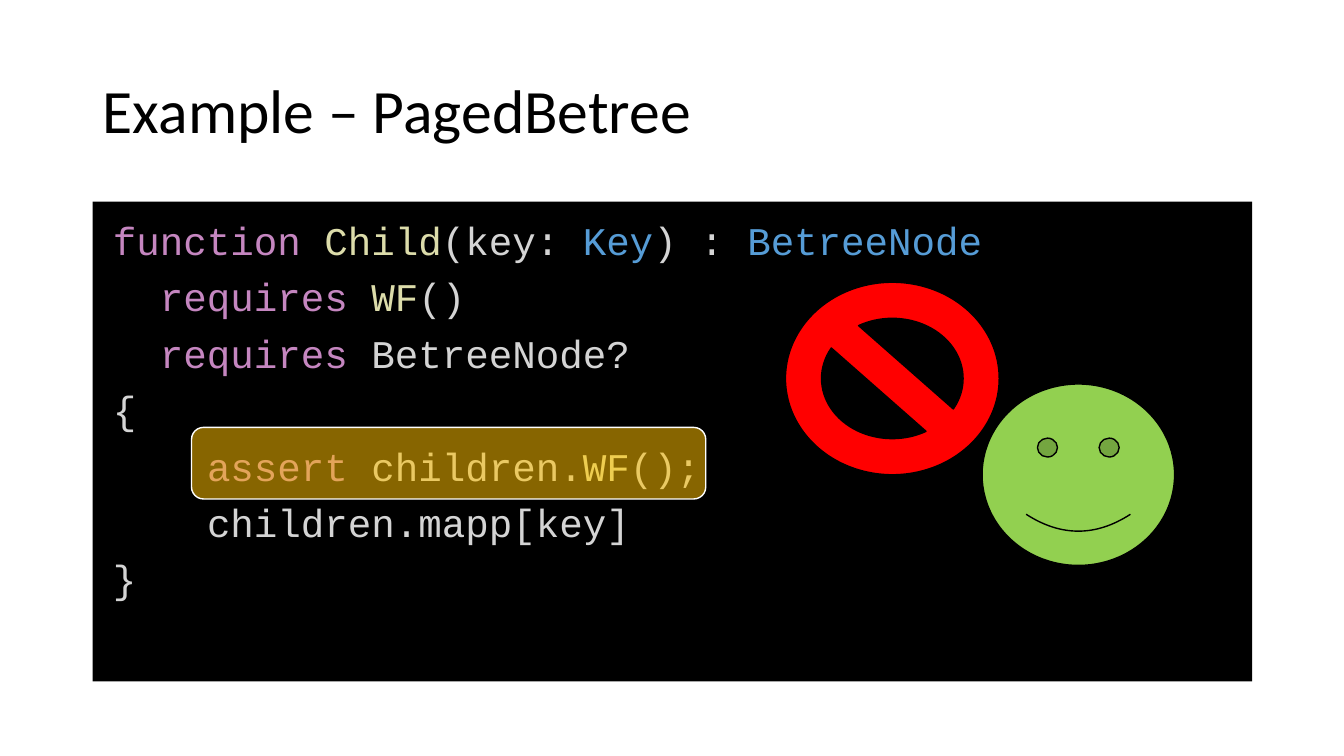
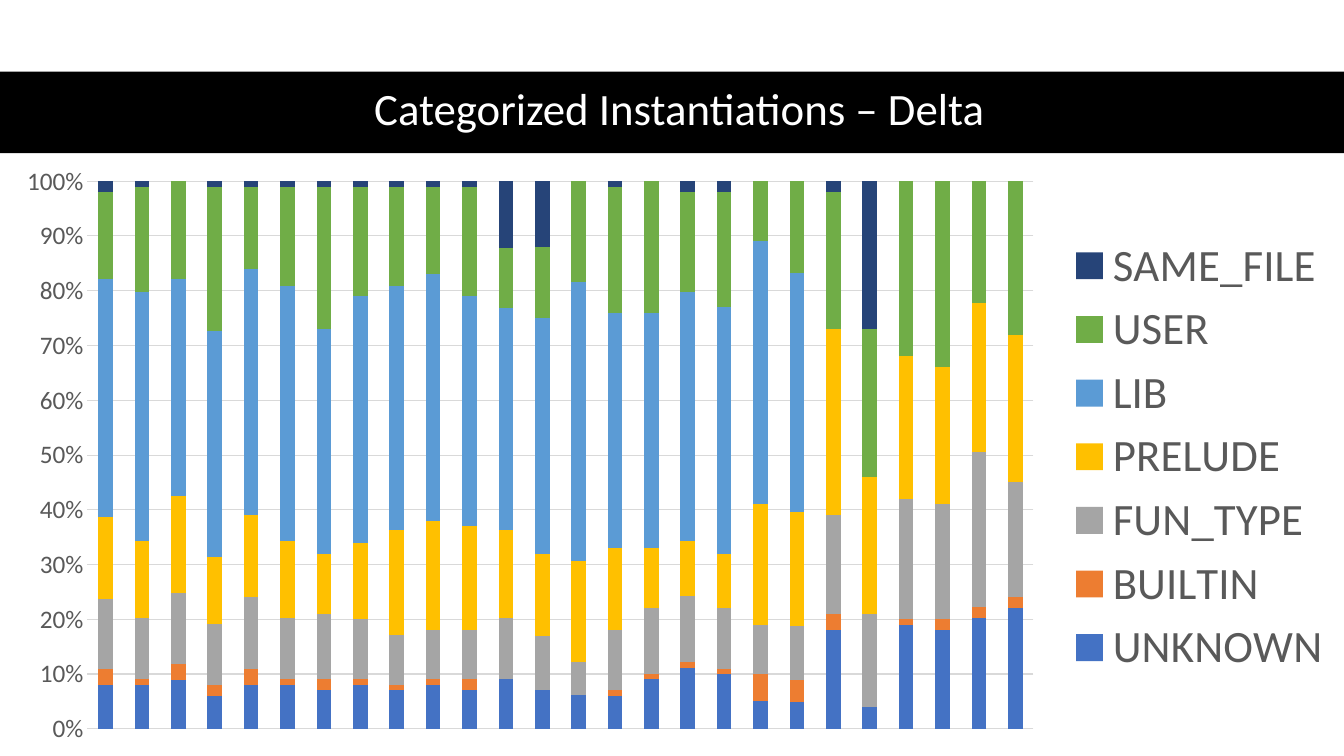
"""Build a code example slide and a chart of categorized instantiations."""
from lxml import etree
from pptx import Presentation
from pptx import util as u
from pptx.chart.data import CategoryChartData
from pptx.dml.color import RGBColor
from pptx.enum import chart as ch
from pptx.enum import shapes, text
from pptx.oxml.ns import qn

BODY_FONT, CODE_FONT = "Calibri", "Courier New"
BLACK, WHITE, GREY, GRID = "000000", "FFFFFF", "595959", "D9D9D9"
KEYWORD, NAME, PLAIN, TYPE = "C586C0", "DCDCAA", "D4D4D4", "569CD6"
CODE_SIZE = 28
CODE_CHAR = 0.6 * CODE_SIZE

CODE = [
    (0, [("function ", KEYWORD), ("Child", NAME), ("(key: ", PLAIN),
         ("Key", TYPE), (") : ", PLAIN), ("BetreeNode", TYPE)]),
    (2, [("requires ", KEYWORD), ("WF", NAME), ("()", PLAIN)]),
    (2, [("requires ", KEYWORD), ("BetreeNode?", PLAIN)]),
    (0, [("{", PLAIN)]),
    (4, [("assert ", KEYWORD), ("children.", PLAIN), ("WF", NAME), ("();", PLAIN)]),
    (4, [("children.mapp[key]", PLAIN)]),
    (0, [("}", PLAIN)]),
]

SERIES = [
    ("UNKNOWN", "4472C4", [8, 8, 9, 6, 8, 8, 7, 8, 7, 8, 7, 9, 7, 6, 6, 9, 11, 10,
                           5, 5, 18, 4, 19, 18, 20, 22]),
    ("BUILTIN", "ED7D31", [3, 1, 3, 2, 3, 1, 2, 1, 1, 1, 2, 0, 0, None, 1, 1, 1, 1,
                           5, 4, 3, None, 1, 2, 2, 2]),
    ("FUN_TYPE", "A5A5A5", [13, 11, 13, 11, 13, 11, 12, 11, 9, 9, 9, 11, 10, 6, 11,
                            12, 12, 11, 9, 10, 18, 17, 22, 21, 28, 21]),
    ("PRELUDE", "FFC000", [15, 14, 18, 12, 15, 14, 11, 14, 19, 20, 19, 16, 15, 18,
                           15, 11, 10, 10, 22, 21, 34, 25, 26, 25, 27, 27]),
    ("LIB", "5B9BD5", [44, 45, 40, 41, 45, 46, 41, 45, 44, 45, 42, 40, 43, 50, 43,
                       43, 45, 45, 48, 44] + [None] * 6),
    ("USER", "70AD47", [16, 19, 18, 26, 15, 18, 26, 20, 18, 16, 20, 11, 13, 18, 23,
                        24, 18, 21, 11, 17, 25, 27, 32, 34, 22, 28]),
    ("SAME_FILE", "264478", [2, 1, 0, 1, 1, 1, 1, 1, 1, 1, 1, 12, 12, 0, 1, 0, 2, 2,
                             0, 0, 2, 27, 0, 0, 0, None]),
]


def rgb(colour):
    """Return the colour object for a hex string."""
    return RGBColor.from_string(colour)


def inches(*lengths):
    """Convert several lengths in inches."""
    return [u.Inches(length) for length in lengths]


def set_font(font, size, colour, name=BODY_FONT):
    """Set the size, colour and typeface of a font."""
    font.size, font.name = u.Pt(size), name
    font.color.rgb = rgb(colour)


def add_page(deck, title, at, size, colour, align):
    """Add a title-only slide and format its title."""
    page = deck.slides.add_slide(deck.slide_layouts[5])
    box = page.shapes.title
    box.left, box.top, box.width, box.height = inches(*at)
    frame = box.text_frame
    frame.text = title
    frame.word_wrap = True
    frame.auto_size = text.MSO_AUTO_SIZE.NONE
    frame.vertical_anchor = text.MSO_ANCHOR.MIDDLE
    para = frame.paragraphs[0]
    para.alignment, para.line_spacing = align, 0.9
    set_font(para.font, size, colour)
    return page


def add_shape(page, kind, at, fill, line=None, opacity=None):
    """Add a flat preset shape, optionally outlined and see-through."""
    shape = page.shapes.add_shape(kind, *inches(*at))
    shape.shadow.inherit = False
    shape.fill.solid()
    shape.fill.fore_color.rgb = rgb(fill)
    if line:
        shape.line.color.rgb = rgb(line)
        shape.line.width = u.Pt(1)
    else:
        shape.line.fill.background()
    if opacity is not None:
        colour = shape.element.spPr.find(qn("a:solidFill"))[0]
        etree.SubElement(colour, qn("a:alpha"), val=str(opacity * 1000))
    return shape


def add_code(page, at, lines):
    """Add a black panel of coloured code lines."""
    frame = add_shape(page, shapes.MSO_SHAPE.RECTANGLE, at, BLACK).text_frame
    frame.word_wrap = True
    frame.vertical_anchor = text.MSO_ANCHOR.TOP
    frame.margin_left, frame.margin_top = inches(0.2, 0.2)
    for number, (indent, spans) in enumerate(lines):
        para = frame.add_paragraph() if number else frame.paragraphs[0]
        para.alignment = text.PP_ALIGN.LEFT
        para.line_spacing, para.space_before = 0.9, u.Pt(10)
        para.font.size, para.font.name = u.Pt(CODE_SIZE), CODE_FONT
        properties = para._p.get_or_add_pPr()
        properties.set("marL", str(u.Pt(indent * CODE_CHAR)))
        properties.set("indent", "0")
        for words, colour in spans:
            span = para.add_run()
            span.text = words
            span.font.color.rgb = rgb(colour)


def set_layout(parent, index, x, y, w, h, inner=False):
    """Place a chart part by fractions of the chart area."""
    for old in parent.findall(qn("c:layout")):
        parent.remove(old)
    layout = etree.Element(qn("c:layout"))
    manual = etree.SubElement(layout, qn("c:manualLayout"))
    settings = [("layoutTarget", "inner")] if inner else []
    settings += [("xMode", "edge"), ("yMode", "edge"),
                 ("x", x), ("y", y), ("w", w), ("h", h)]
    for tag, value in settings:
        etree.SubElement(manual, qn("c:" + tag), val=str(value))
    parent.insert(index, layout)


def add_stacked_chart(page, at, series):
    """Add a 100% stacked column chart with a legend at the right."""
    data = CategoryChartData()
    data.categories = [str(n + 1) for n in range(len(series[0][2]))]
    for name, _, values in series:
        data.add_series(name, values)
    kind = ch.XL_CHART_TYPE.COLUMN_STACKED_100
    chart = page.shapes.add_chart(kind, *inches(*at), data).chart
    chart.has_title = False
    set_font(chart.font, 10, BLACK)
    plot = chart.plots[0]
    plot.gap_width, plot.overlap, plot.vary_by_categories = 150, 100, False
    for bars, (_, colour, _) in zip(plot.series, series):
        bars.format.fill.solid()
        bars.format.fill.fore_color.rgb = rgb(colour)
    chart.category_axis.visible = False
    axis = chart.value_axis
    axis.major_tick_mark = axis.minor_tick_mark = ch.XL_TICK_MARK.NONE
    axis.format.line.fill.background()
    axis.major_gridlines.format.line.color.rgb = rgb(GRID)
    axis.major_gridlines.format.line.width = u.Pt(0.75)
    axis.tick_labels.number_format = "0%"
    axis.tick_labels.number_format_is_linked = False
    set_font(axis.tick_labels.font, 18, GREY)
    chart.has_legend = True
    legend = chart.legend
    legend.position = ch.XL_LEGEND_POSITION.RIGHT
    legend.include_in_layout = False
    set_font(legend.font, 32, GREY)
    set_layout(chart.element.chart.plotArea, 0, 0.065, 0.045, 0.704, 0.91, inner=True)
    set_layout(legend._element, 1, 0.79, 0.126, 0.205, 0.754)


def build_example(deck):
    """Build the code example slide."""
    page = add_page(deck, "Example – PagedBetree", (0.92, 0.4, 11.5, 1.45),
                    44, BLACK, text.PP_ALIGN.LEFT)
    preset = shapes.MSO_SHAPE
    add_code(page, (0.92, 2, 11.5, 4.76), CODE)
    add_shape(page, preset.ROUNDED_RECTANGLE, (1.9, 4.24, 5.1, 0.71),
              "FFC000", WHITE, opacity=53)
    add_shape(page, preset.NO_SYMBOL, (7.79, 2.8, 2.12, 1.91), "FF0000", BLACK)
    smiley = add_shape(page, preset.SMILEY_FACE, (9.74, 3.81, 1.91, 1.8),
                       "92D050", BLACK)
    smiley.adjustments[0] = 0.047


def build_instantiations(deck):
    """Build the chart slide with its title on a black band."""
    page = add_page(deck, "Categorized Instantiations – Delta",
                    (0.61, 0.7, 12.26, 0.81), 32, WHITE, text.PP_ALIGN.CENTER)
    band = add_shape(page, shapes.MSO_SHAPE.RECTANGLE, (0, 0.71, 13.33, 0.81), BLACK)
    page.shapes.title.element.addprevious(band.element)
    add_stacked_chart(page, (0, 1.53, 13.33, 5.97), SERIES)


def main():
    """Build and save the deck."""
    deck = Presentation()
    deck.slide_width, deck.slide_height = inches(13.33, 7.5)
    build_example(deck)
    build_instantiations(deck)
    deck.save("out.pptx")


main()
